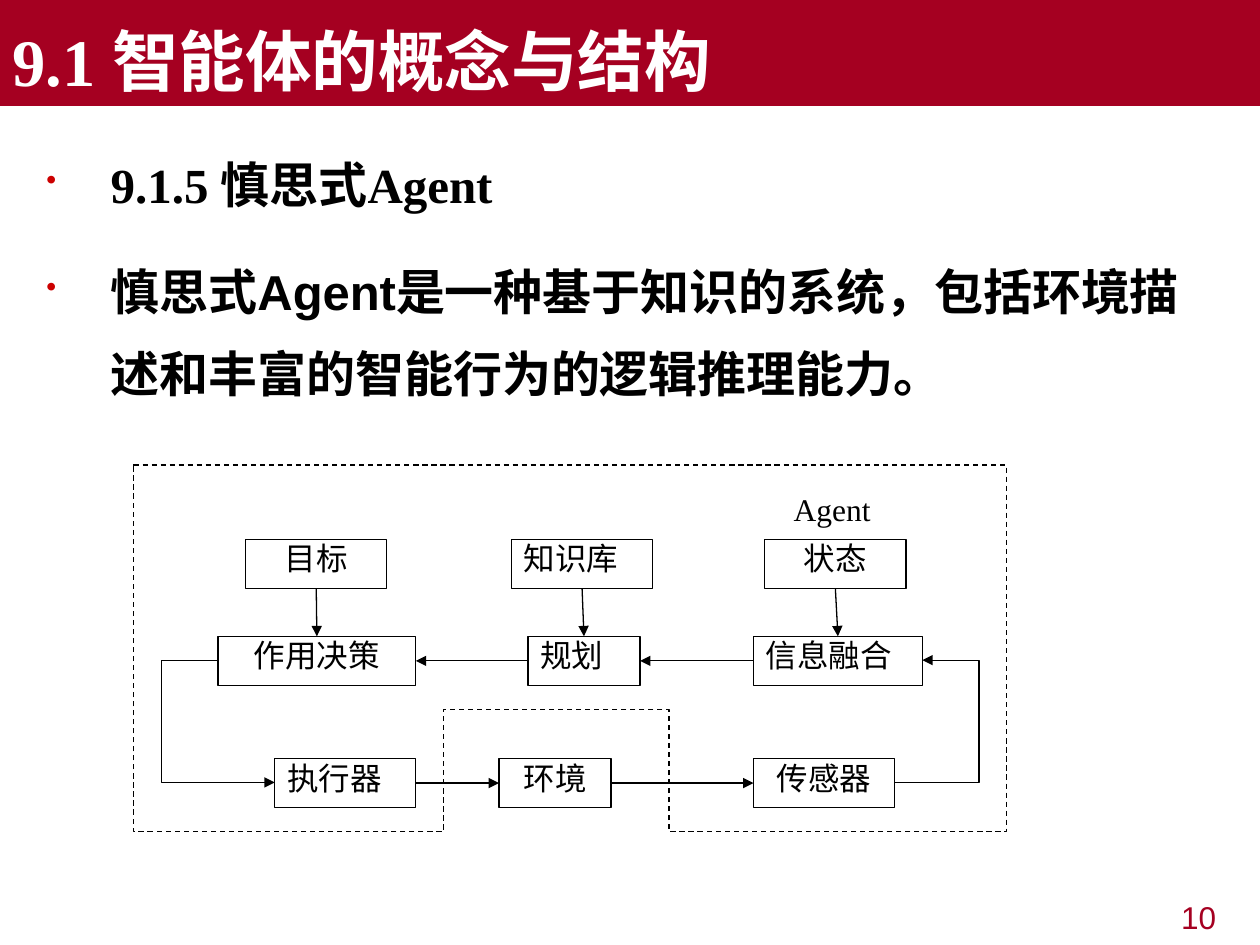
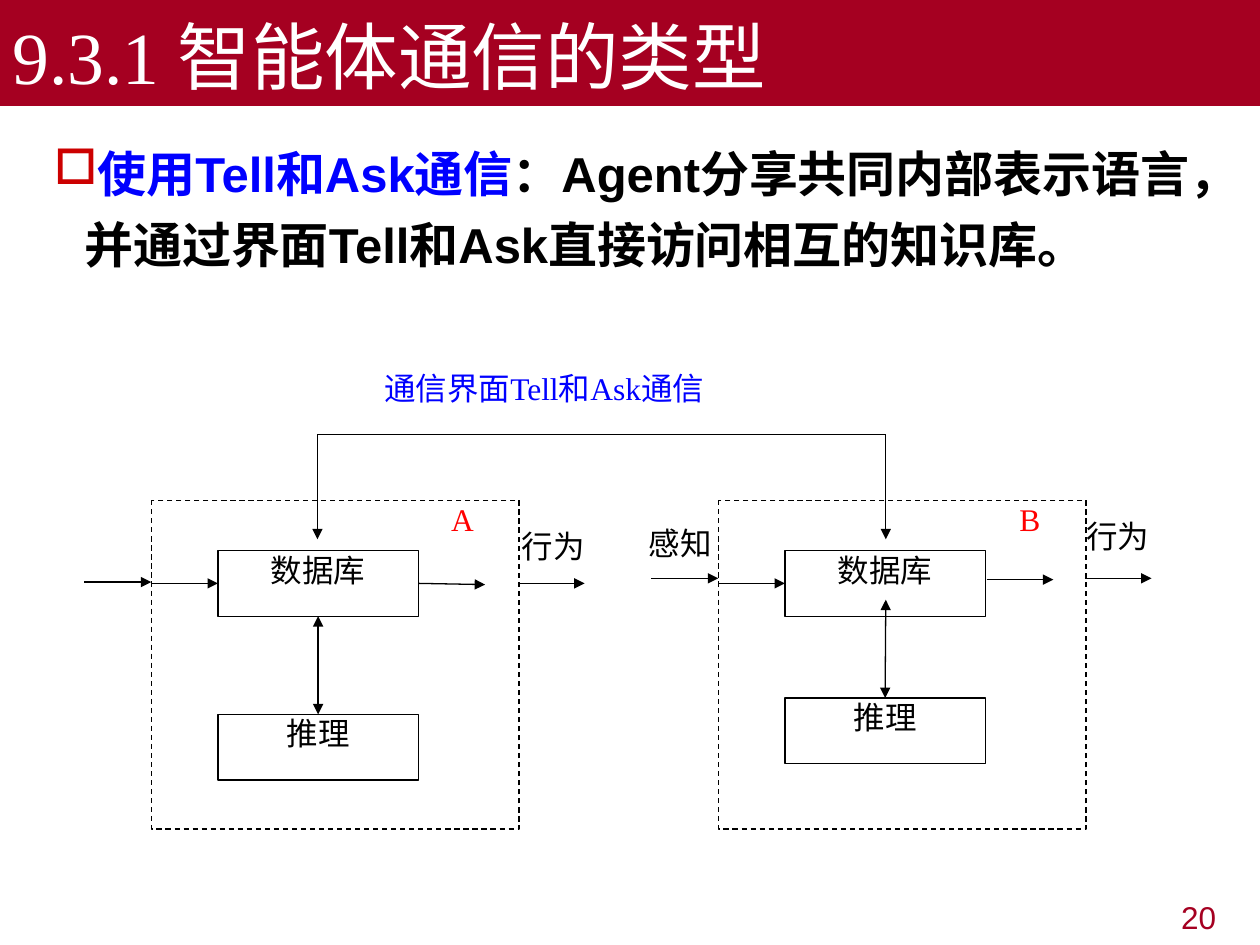
from lxml import etree
from pptx import Presentation
from pptx.dml.color import RGBColor
from pptx.enum.dml import MSO_LINE
from pptx.enum.shapes import MSO_CONNECTOR, MSO_SHAPE
from pptx.enum.text import MSO_ANCHOR, PP_ALIGN
from pptx.oxml.ns import qn
from pptx.util import Inches, Pt

RECT, PROCESS = MSO_SHAPE.RECTANGLE, MSO_SHAPE.FLOWCHART_PROCESS
STRAIGHT, ELBOW = MSO_CONNECTOR.STRAIGHT, MSO_CONNECTOR.ELBOW
LEFT, CENTER, RIGHT, JUSTIFY = PP_ALIGN.LEFT, PP_ALIGN.CENTER, PP_ALIGN.RIGHT, PP_ALIGN.JUSTIFY
TOP_SIDE, LEFT_SIDE, BOTTOM_SIDE, RIGHT_SIDE = range(4)
SERIF, SANS = "Times New Roman", "Arial"
HEX = {"band": "A50021", "bullet": "CC0000", "white": "FFFFFF", "black": "000000",
       "blue": "0000FF", "red": "FF0000"}
RGB = {name: RGBColor.from_string(value) for name, value in HEX.items()}


def write(sp, content, color="black", font=SERIF, size=18, bold=False,
          align=LEFT, inset=(0.1, 0.05), anchor=MSO_ANCHOR.TOP):
    """Fill a shape with one string, or with paragraphs of (text, color, font) runs."""
    paras = [[(content, color, font)]] if isinstance(content, str) else content
    tf = sp.text_frame
    frame = {"word_wrap": True, "vertical_anchor": anchor,
             "margin_left": Inches(inset[0]), "margin_right": Inches(inset[0]),
             "margin_top": Inches(inset[1]), "margin_bottom": Inches(inset[1])}
    for key, value in frame.items():
        setattr(tf, key, value)
    for i, runs in enumerate(paras):
        p = tf.add_paragraph() if i else tf.paragraphs[0]
        p.alignment = align
        for text, run_color, run_font in runs:
            r = p.add_run()
            r.text = text
            for key, value in {"name": run_font, "size": Pt(size), "bold": bold}.items():
                setattr(r.font, key, value)
            r.font.color.rgb = RGB[run_color]


def link(s, start, stop, heads=("tailEnd",), bend=None):
    """Draw a connector; each end is an (x, y) point or a (shape, side) pair."""
    points = [(0, 0) if hasattr(end[0], "shape_id") else end for end in (start, stop)]
    c = s.shapes.add_connector(STRAIGHT if bend is None else ELBOW,
                               *[Inches(v) for point in points for v in point])
    for end, connect in ((start, c.begin_connect), (stop, c.end_connect)):
        if hasattr(end[0], "shape_id"):
            connect(*end)
    c.line.color.rgb, c.line.width = RGB["black"], Pt(0.75)
    sp_pr = c._element.spPr
    for head in heads:
        etree.SubElement(sp_pr.find(qn("a:ln")), qn("a:" + head), type="triangle")
    etree.SubElement(sp_pr, qn("a:effectLst"))
    if bend is not None:
        guides = sp_pr.find(qn("a:prstGeom")).get_or_add_avLst()
        etree.SubElement(guides, qn("a:gd"), name="adj1", fmla=f"val {round(bend * 100000)}")


prs = Presentation()
prs.slide_width, prs.slide_height = Inches(10), Inches(7.5)

# Title band, body text and page number of each slide
pages = [
    {"title": "9.1 智能体的概念与结构", "title_size": 38, "title_bold": True, "number": "10",
     "at": (0.27, 0.99, 9.45, 5.91), "spacing": 1.4, "indent": 0.51, "bullet": "•",
     "bullet_size": 60,
     "body": [[("9.1.5 慎思式Agent", "black", SERIF)],
              [("慎思式Agent是一种基于知识的系统，包括环境描述和丰富的智能行为的逻辑推理能力。",
                "black", SANS)]]},
    {"title": "9.3.1 智能体通信的类型", "title_size": 42, "title_bold": False, "number": "20",
     "at": (0.33, 1, 9.25, 1.83), "spacing": 1.2, "indent": 0.24, "bullet": "□",
     "bullet_size": 100,
     "body": [[("使用Tell和Ask通信", "blue", SANS),
               ("：Agent分享共同内部表示语言，并通过界面Tell和Ask直接访问相互的知识库。",
                "black", SANS)]]},
]
slides = []
for page in pages:
    s = prs.slides.add_slide(prs.slide_layouts[6])
    slides.append(s)

    sp = s.shapes.add_textbox(*map(Inches, (7.58, 7.08, 2.17, 0.39)))
    write(sp, page["number"], "band", SANS, align=RIGHT)

    sp = s.shapes.add_textbox(*map(Inches, page["at"]))
    write(sp, page["body"], size=28, bold=True)
    for i, p in enumerate(sp.text_frame.paragraphs):
        p.line_spacing = page["spacing"]
        if i:
            p.space_before = Pt(14)
        pPr = p._p.get_or_add_pPr()
        pPr.set("marL", str(Inches(page["indent"])))
        pPr.set("indent", str(-Inches(page["indent"])))
        bullet_color = etree.SubElement(pPr, qn("a:buClr"))
        etree.SubElement(bullet_color, qn("a:srgbClr"), val=HEX["bullet"])
        etree.SubElement(pPr, qn("a:buSzPct"), val=str(page["bullet_size"] * 1000))
        etree.SubElement(pPr, qn("a:buChar"), char=page["bullet"])

    sp = s.shapes.add_shape(RECT, 0, 0, prs.slide_width, Inches(0.84))
    sp.shadow.inherit = False
    sp.fill.solid()
    sp.fill.fore_color.rgb = RGB["band"]
    sp.line.fill.background()
    write(sp, page["title"], "white", size=page["title_size"], bold=page["title_bold"],
          anchor=MSO_ANCHOR.BOTTOM)

deliberative, communication = slides

# Process boxes of both diagrams
boxes = {}
for s, key, text, x, y, w, h, align in [
    (deliberative, "goal", "目标", 1.95, 4.28, 1.12, 0.39, CENTER),
    (deliberative, "knowledge", "知识库", 4.06, 4.28, 1.12, 0.39, JUSTIFY),
    (deliberative, "state", "状态", 6.07, 4.28, 1.12, 0.39, CENTER),
    (deliberative, "decision", "作用决策", 1.73, 5.05, 1.57, 0.39, CENTER),
    (deliberative, "planning", "规划", 4.19, 5.05, 0.89, 0.39, JUSTIFY),
    (deliberative, "fusion", "信息融合", 5.98, 5.05, 1.34, 0.39, JUSTIFY),
    (deliberative, "actuator", "执行器", 2.18, 6.02, 1.12, 0.39, JUSTIFY),
    (deliberative, "environment", "环境", 3.96, 6.02, 0.89, 0.39, CENTER),
    (deliberative, "sensor", "传感器", 5.98, 6.02, 1.12, 0.39, CENTER),
    (communication, "data_a", "数据库", 1.73, 4.37, 1.59, 0.52, CENTER),
    (communication, "reason_a", "推理", 1.73, 5.67, 1.59, 0.52, CENTER),
    (communication, "data_b", "数据库", 6.23, 4.37, 1.59, 0.52, CENTER),
    (communication, "reason_b", "推理", 6.23, 5.54, 1.59, 0.52, CENTER),
]:
    sp = s.shapes.add_shape(PROCESS, *map(Inches, (x, y, w, h)))
    sp.shadow.inherit = False
    sp.fill.solid()
    sp.fill.fore_color.rgb = RGB["white"]
    sp.line.color.rgb, sp.line.width = RGB["black"], Pt(0.75)
    write(sp, text, align=align, inset=(0.1, 0))
    boxes[key] = sp

# Arrows of the deliberative agent
for begin, begin_side, end, end_side in [
    ("goal", BOTTOM_SIDE, "decision", TOP_SIDE),
    ("knowledge", BOTTOM_SIDE, "planning", TOP_SIDE),
    ("state", BOTTOM_SIDE, "fusion", TOP_SIDE),
    ("fusion", LEFT_SIDE, "planning", RIGHT_SIDE),
    ("planning", LEFT_SIDE, "decision", RIGHT_SIDE),
    ("actuator", RIGHT_SIDE, "environment", LEFT_SIDE),
    ("environment", RIGHT_SIDE, "sensor", LEFT_SIDE),
]:
    link(deliberative, (boxes[begin], begin_side), (boxes[end], end_side))
link(deliberative, (1.73, 5.24), (2.18, 6.21), bend=-1)
link(deliberative, (7.1, 6.21), (7.32, 5.24), bend=3.05)

# Arrows between and inside the two communicating agents
link(communication, (2.52, 3.45), (7.03, 3.45), heads=())
for x in (2.52, 7.03):
    link(communication, (x, 3.45), (x, 4.28))
both = ("headEnd", "tailEnd")
link(communication, (boxes["data_a"], BOTTOM_SIDE), (boxes["reason_a"], TOP_SIDE), both)
link(communication, (7.03, 4.76), (boxes["reason_b"], TOP_SIDE), both)
link(communication, (1.2, 4.63), (boxes["data_a"], LEFT_SIDE))
link(communication, (5.7, 4.63), (boxes["data_b"], LEFT_SIDE))
link(communication, (boxes["data_a"], RIGHT_SIDE), (3.85, 4.64))
for x, y in [(0.67, 4.62), (4.11, 4.63), (5.17, 4.59), (7.83, 4.6), (8.61, 4.59)]:
    link(communication, (x, y), (x + 0.53, y))

# Dashed agent boundaries
for s, corners in [
    (deliberative, [(1.06, 3.69), (7.99, 3.69), (7.99, 6.6), (5.31, 6.6),
                    (5.31, 5.63), (3.52, 5.63), (3.52, 6.6), (1.06, 6.6)]),
    *[(communication, [(x, 3.97), (x, 6.58), (x + 2.92, 6.58), (x + 2.92, 3.97)])
      for x in (1.2, 5.7)],
]:
    points = [(Inches(x), Inches(y)) for x, y in corners]
    builder = s.shapes.build_freeform(*points[0])
    builder.add_line_segments(points[1:], close=True)
    sp = builder.convert_to_shape()
    sp.shadow.inherit = False
    sp.fill.background()
    sp.line.color.rgb, sp.line.width = RGB["black"], Pt(0.75)
    sp.line.dash_style = MSO_LINE.DASH

# Free labels
for s, text, x, y, w, h, color, inset in [
    (deliberative, "Agent", 6.2, 3.89, 1.12, 0.58, "black", (0.1, 0)),
    (communication, "行为", 4.14, 4.18, 0.8, 0.52, "black", (0, 0)),
    (communication, "感知", 5.15, 4.16, 0.8, 0.52, "black", (0, 0)),
    (communication, "行为", 8.62, 4.1, 0.8, 0.52, "black", (0, 0)),
    (communication, "通信界面Tell和Ask通信", 3.05, 2.93, 2.92, 0.52, "blue", (0, 0)),
    (communication, "A", 3.58, 3.97, 0.8, 0.52, "red", (0, 0)),
    (communication, "B", 8.09, 3.97, 0.8, 0.52, "red", (0, 0)),
]:
    sp = s.shapes.add_textbox(*map(Inches, (x, y, w, h)))
    write(sp, text, color, align=JUSTIFY, inset=inset)

prs.save("out.pptx")
